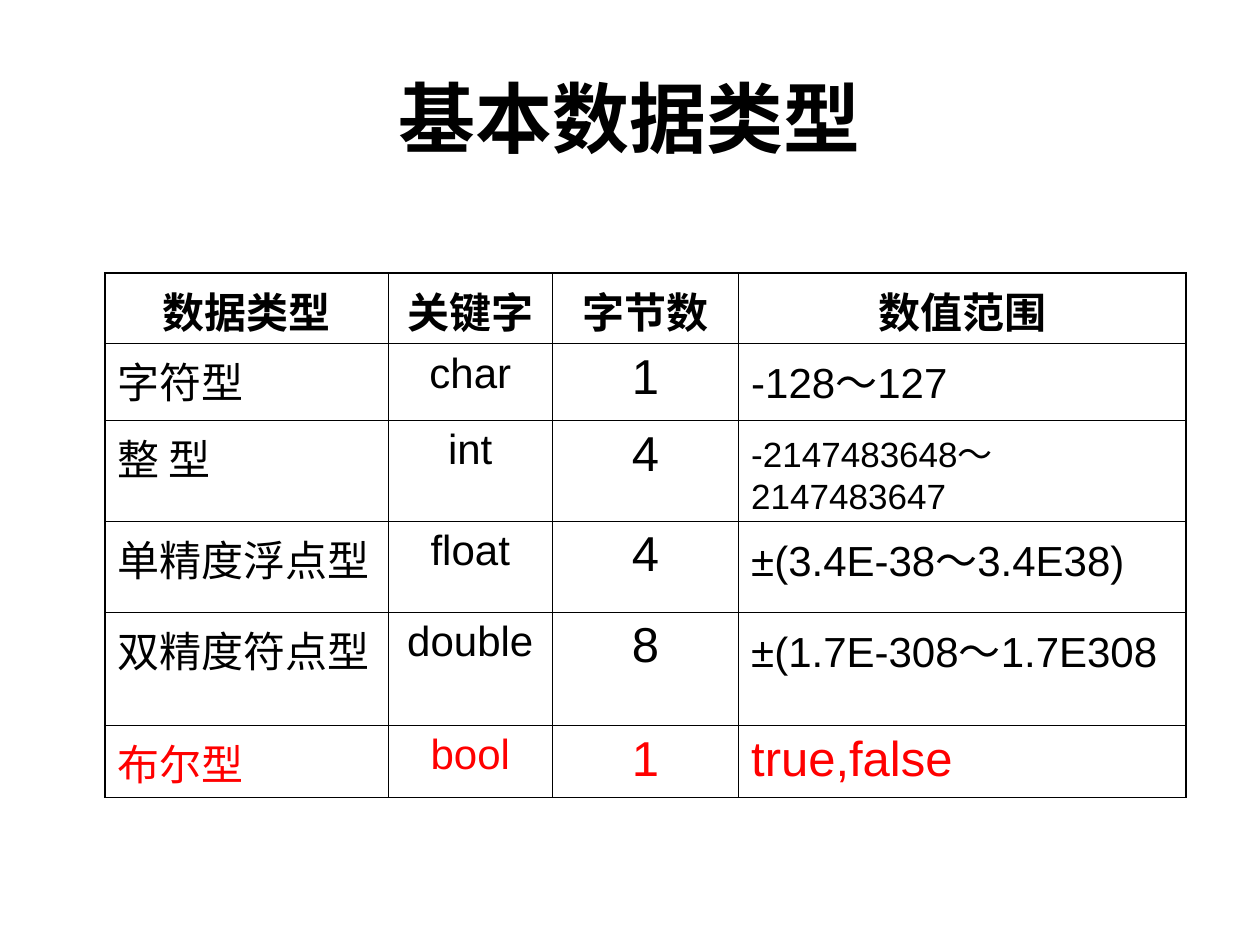
from lxml.etree import SubElement
from pptx import Presentation
from pptx.dml.color import RGBColor
from pptx.enum.text import MSO_ANCHOR, PP_ALIGN
from pptx.oxml.ns import qn
from pptx.util import Cm, Pt

COLORS = {"text": "000000", "highlight": "FF0000", "border": "000000"}
FONT = "Arial"
OUTER_WIDTH, INNER_WIDTH = Pt(1.08), Pt(0.45)

COLUMN_WIDTHS = [5.72, 3.3, 3.76, 9.02]
ROW_HEIGHTS = [1.42, 1.55, 2.03, 1.83, 2.29, 1.45]
COLUMN_SIZES = [24, 24, 28, 24]
COLUMN_ALIGNMENTS = [PP_ALIGN.LEFT, PP_ALIGN.CENTER, PP_ALIGN.CENTER, PP_ALIGN.LEFT]
SPECIAL_SIZES = {(2, 3): 20, (5, 3): 28}
ROWS = [
    ["数据类型", "关键字", "字节数", "数值范围"],
    ["字符型", "char", "1", "-128～127"],
    ["整 型", "int", "4", "-2147483648～2147483647"],
    ["单精度浮点型", "float", "4", "±(3.4E-38～3.4E38)"],
    ["双精度符点型", "double", "8", "±(1.7E-308～1.7E308"],
    ["布尔型", "bool", "1", "true,false"],
]


def write_text(text_frame, text, size=24, color="text", bold=False,
               alignment=PP_ALIGN.LEFT):
    text_frame.word_wrap = True
    paragraph = text_frame.paragraphs[0]
    paragraph.alignment = alignment
    run = paragraph.add_run()
    run.text = text
    run.font.name = FONT
    run.font.size = Pt(size)
    run.font.bold = bold
    run.font.color.rgb = RGBColor.from_string(COLORS[color])


def set_borders(cell, widths):
    """Draw the left, right, top and bottom lines of a cell, before its fill."""
    properties = cell._tc.get_or_add_tcPr()
    for side, width in zip(("lnL", "lnR", "lnT", "lnB"), widths):
        line = SubElement(properties, qn(f"a:{side}"), w=str(width))
        fill = SubElement(line, qn("a:solidFill"))
        SubElement(fill, qn("a:srgbClr"), val=COLORS["border"])


def add_title(slide, text):
    box = slide.shapes.add_textbox(Cm(1.27), Cm(0.76), Cm(22.86), Cm(3.18))
    box.text_frame.vertical_anchor = MSO_ANCHOR.MIDDLE
    write_text(box.text_frame, text, size=44, bold=True, alignment=PP_ALIGN.CENTER)


def add_type_table(slide):
    last_row, last_column = len(ROWS) - 1, len(COLUMN_WIDTHS) - 1
    frame = slide.shapes.add_table(
        len(ROWS), len(COLUMN_WIDTHS), Cm(2.11), Cm(5.51),
        Cm(sum(COLUMN_WIDTHS)), Cm(sum(ROW_HEIGHTS)))
    table = frame.table
    table.first_row = False
    table.horz_banding = False
    for column, width in zip(table.columns, COLUMN_WIDTHS):
        column.width = Cm(width)
    for row, height in zip(table.rows, ROW_HEIGHTS):
        row.height = Cm(height)

    for row_index, texts in enumerate(ROWS):
        header = row_index == 0
        for column_index, text in enumerate(texts):
            cell = table.cell(row_index, column_index)
            on_edge = (column_index == 0, column_index == last_column,
                       header, row_index == last_row)
            set_borders(cell, [OUTER_WIDTH if edge else INNER_WIDTH for edge in on_edge])
            cell.fill.background()
            size = SPECIAL_SIZES.get((row_index, column_index), COLUMN_SIZES[column_index])
            write_text(
                cell.text_frame, text,
                size=24 if header else size,
                color="highlight" if row_index == last_row else "text",
                bold=header,
                alignment=PP_ALIGN.CENTER if header else COLUMN_ALIGNMENTS[column_index])


def main():
    presentation = Presentation()
    presentation.slide_width = Cm(25.4)
    presentation.slide_height = Cm(19.05)
    slide = presentation.slides.add_slide(presentation.slide_layouts[6])
    add_title(slide, "基本数据类型")
    add_type_table(slide)
    presentation.save("out.pptx")


if __name__ == "__main__":
    main()
